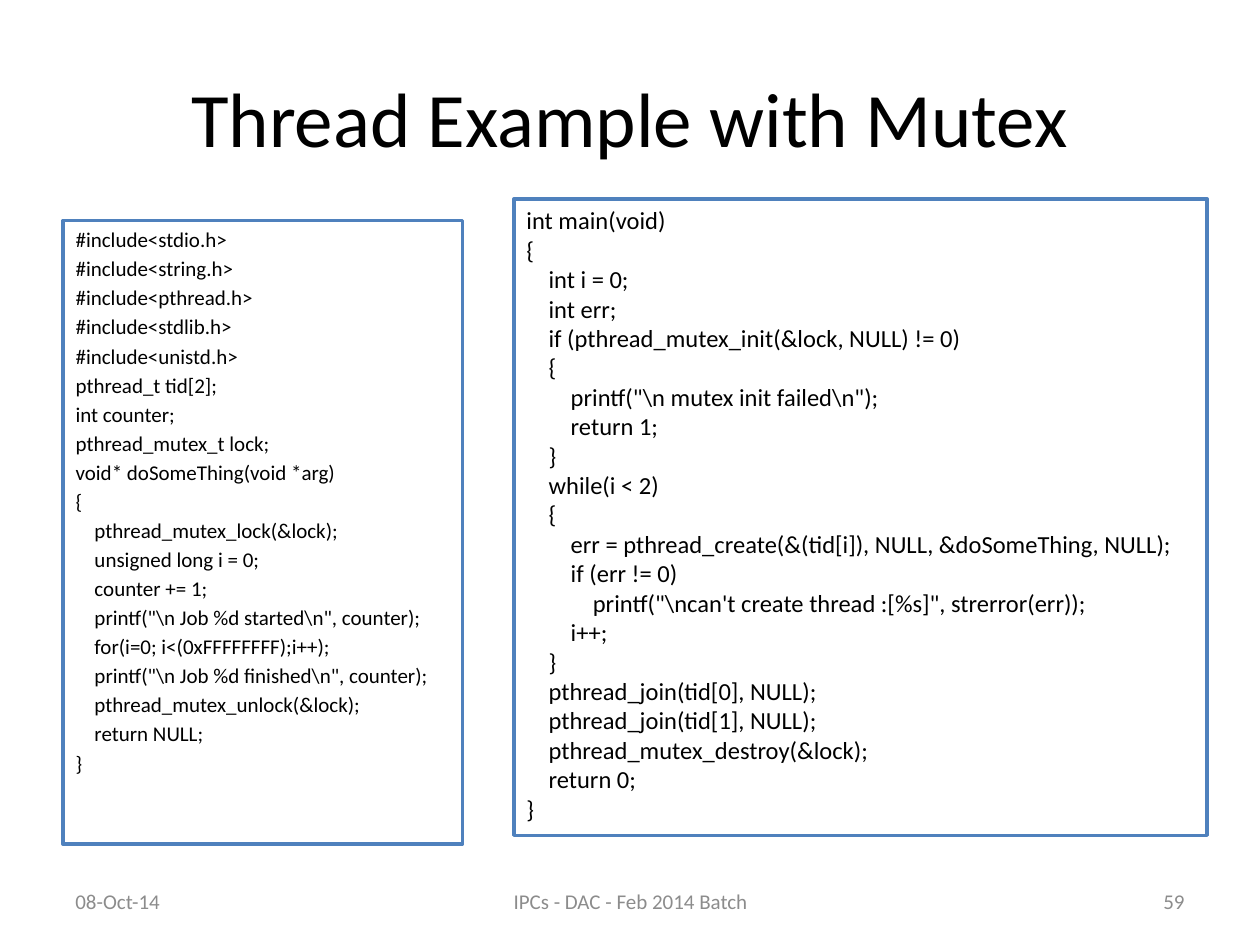
from lxml import etree
from pptx import Presentation
from pptx.dml.color import RGBColor
from pptx.enum.shapes import MSO_SHAPE
from pptx.enum.text import MSO_ANCHOR, MSO_AUTO_SIZE, PP_ALIGN
from pptx.oxml.ns import qn
from pptx.util import Inches, Pt

LEFT, CENTER, RIGHT = PP_ALIGN.LEFT, PP_ALIGN.CENTER, PP_ALIGN.RIGHT
TOP, MIDDLE = MSO_ANCHOR.TOP, MSO_ANCHOR.MIDDLE
NO_FIT = MSO_AUTO_SIZE.NONE
RECT = MSO_SHAPE.RECTANGLE

WORKER_CODE = r"""#include<stdio.h>
#include<string.h>
#include<pthread.h>
#include<stdlib.h>
#include<unistd.h>
pthread_t tid[2];
int counter;
pthread_mutex_t lock;
void* doSomeThing(void *arg)
{
    pthread_mutex_lock(&lock);
    unsigned long i = 0;
    counter += 1;
    printf("\n Job %d started\n", counter);
    for(i=0; i<(0xFFFFFFFF);i++);
    printf("\n Job %d finished\n", counter);
    pthread_mutex_unlock(&lock);
    return NULL;
}"""

MAIN_CODE = r"""int main(void)
{
    int i = 0;
    int err;
    if (pthread_mutex_init(&lock, NULL) != 0)
    {
        printf("\n mutex init failed\n");
        return 1;
    }
    while(i < 2)
    {
        err = pthread_create(&(tid[i]), NULL, &doSomeThing, NULL);
        if (err != 0)
            printf("\ncan't create thread :[%s]", strerror(err));
        i++;
    }
    pthread_join(tid[0], NULL);
    pthread_join(tid[1], NULL);
    pthread_mutex_destroy(&lock);
    return 0;
}"""


def rgb(color):
    return RGBColor.from_string(color)


def write(sp, box, text, size, color="000000", align=LEFT, anchor=MIDDLE, gap=0, hang=0):
    sp.left, sp.top, sp.width, sp.height = [Inches(v) for v in box]
    tf = sp.text_frame
    tf.word_wrap = True
    tf.auto_size = NO_FIT
    tf.vertical_anchor = anchor
    for i, line in enumerate(text.splitlines()):
        p = tf.paragraphs[0] if i == 0 else tf.add_paragraph()
        pPr = p._p.get_or_add_pPr()
        pPr.set("marL", str(Inches(hang)))
        pPr.set("indent", str(-Inches(hang)))
        etree.SubElement(pPr, qn("a:buNone"))
        p.alignment = align
        p.space_before = Pt(gap if i else 0)
        r = p.add_run()
        r.text = line
        r.font.name = "Calibri"
        r.font.size = Pt(size)
        r.font.color.rgb = rgb(color)


prs = Presentation()
prs.slide_width, prs.slide_height = Inches(10), Inches(7.5)
s = prs.slides.add_slide(prs.slide_layouts[1])

write(s.shapes.title, (0.5, 0.3, 9, 1.25), "Thread Example with Mutex", 44, align=CENTER)

worker = s.placeholders[1]
write(worker, (0.5, 1.75, 3.17, 4.95), WORKER_CODE, 12, anchor=TOP, gap=2.2, hang=0.38)

main_box = s.shapes.add_shape(RECT, 0, 0, 0, 0)
main_box.shadow.inherit = False
write(main_box, (4.08, 1.58, 5.5, 5.05), MAIN_CODE, 14, anchor=TOP)

for sp in (worker, main_box):
    sp.fill.solid()
    sp.fill.fore_color.rgb = rgb("FFFFFF")
    sp.line.color.rgb = rgb("4F81BD")
    sp.line.width = Pt(2)

for x, w, text, align in (
    (0.5, 2.33, "08-Oct-14", LEFT),
    (3.42, 3.17, "IPCs - DAC - Feb 2014 Batch", CENTER),
    (7.17, 2.33, "59", RIGHT),
):
    sp = s.shapes.add_textbox(0, 0, 0, 0)
    write(sp, (x, 6.95, w, 0.4), text, 12, "8C8C8C", align)

prs.save("out.pptx")
